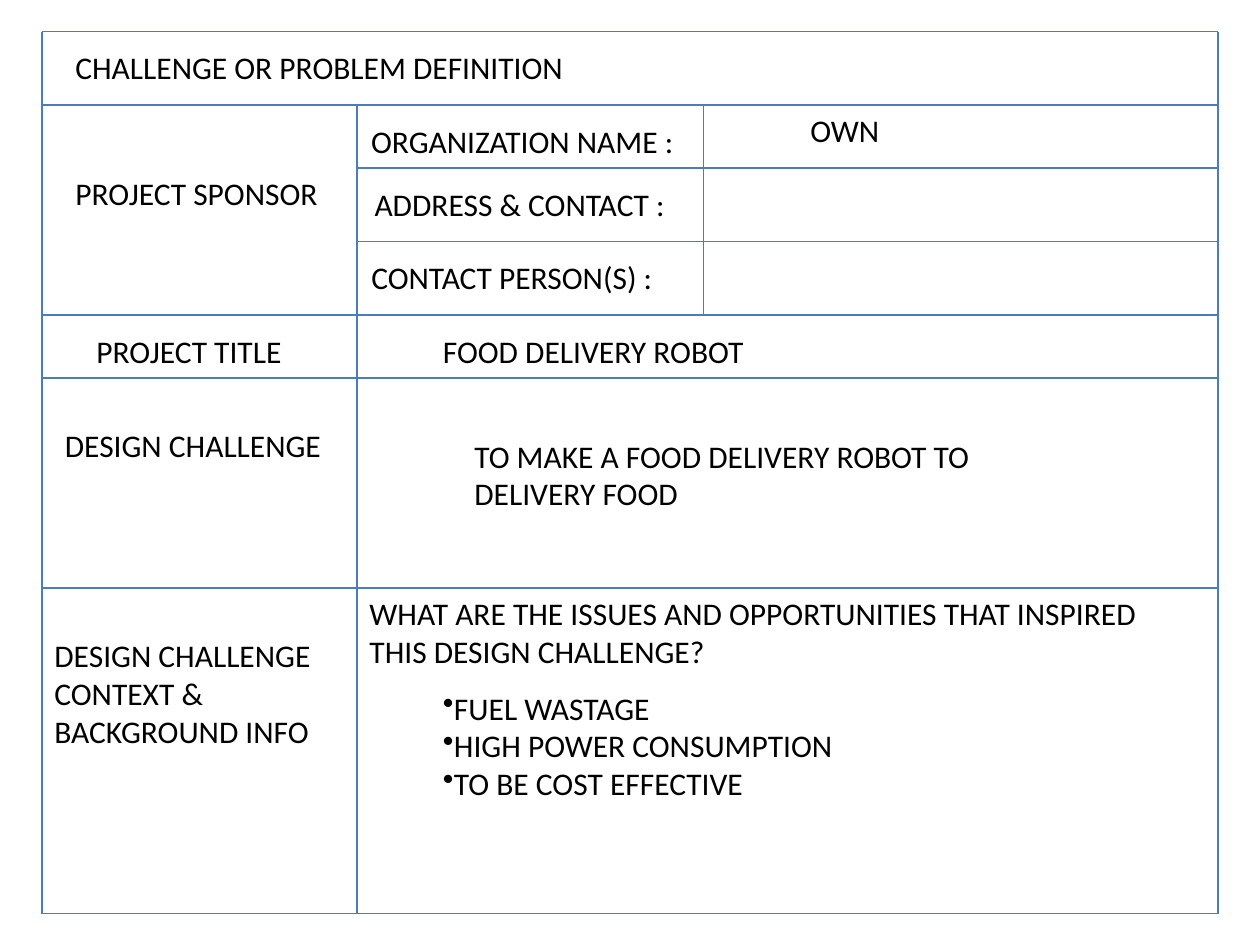
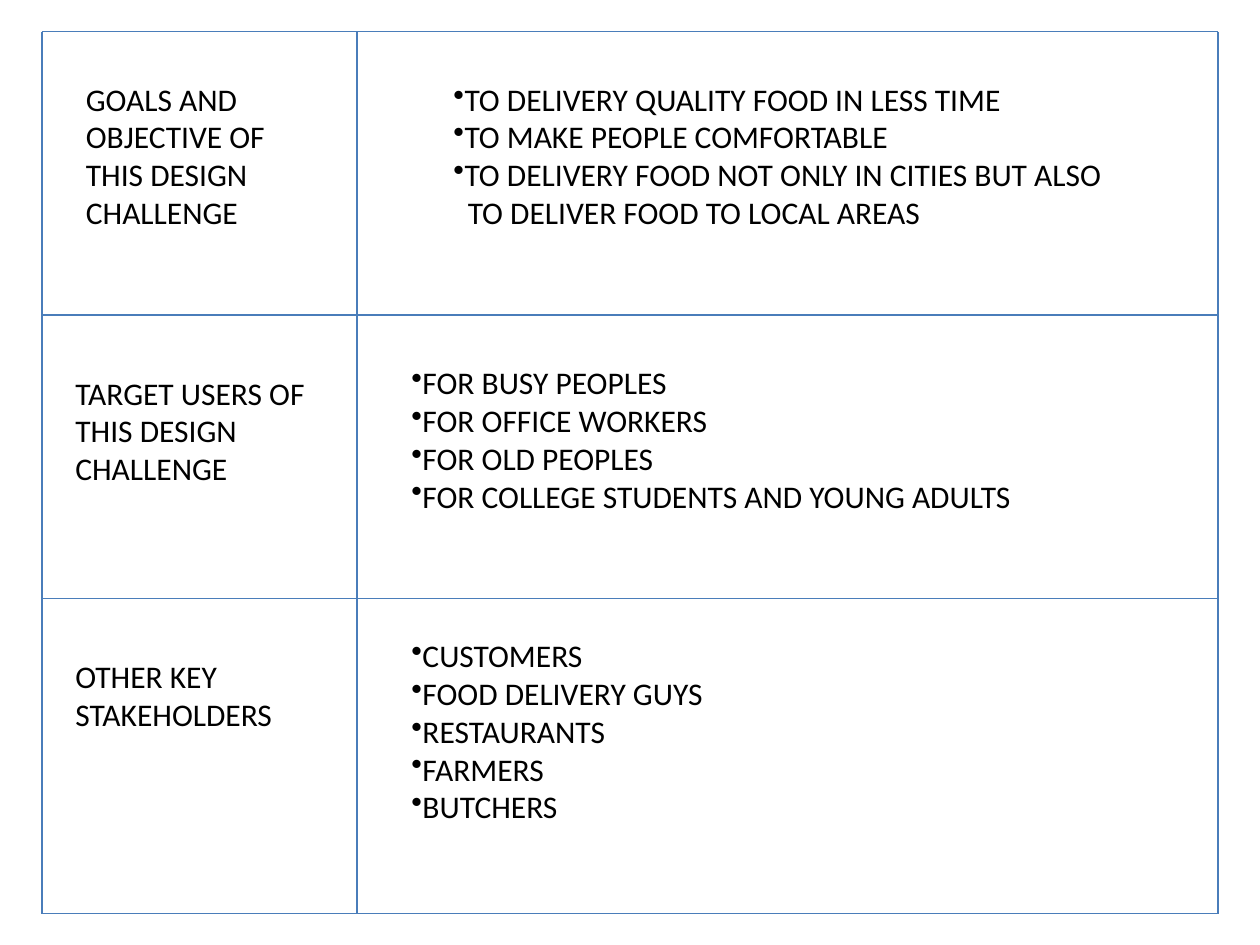
from dataclasses import dataclass

import pptx
import pptx.dml.color
import pptx.enum.shapes
import pptx.enum.text
import pptx.oxml
import pptx.oxml.ns
import pptx.util
from lxml import etree

EMU_PER_PX = 9525


@dataclass(frozen=True)
class Theme:
    font: str = "Calibri"
    size: int = 18
    text: str = "000000"
    rule: str = "4A7DBA"
    rule_width: float = 0.75
    # Lengths below are in px
    line_height: int = 29
    frame_padding: int = 10
    bullet_hang: int = 12
    continuation_indent: int = 11


@dataclass(frozen=True)
class Rule:
    x1: int
    y1: int
    x2: int
    y2: int


@dataclass(frozen=True)
class Entry:
    left: int
    top: int
    width: int
    paragraphs: tuple[str, ...]
    bulleted: bool = False
    centred: bool = False
    continuation: str = ""
    lines: int = 0  # room in lines, when it differs from the paragraph count


THEME = Theme()

# Form frame and its column edges
LEFT, TOP, RIGHT, BOTTOM = 32, 24, 928, 696
ANSWERS, SPONSOR_VALUES = 272, 536


def px(length: int) -> int:
    return pptx.util.Emu(length * EMU_PER_PX)


def across(y: int, start: int = LEFT) -> Rule:
    return Rule(start, y, RIGHT, y)


def down(x: int, start: int = TOP, end: int = BOTTOM) -> Rule:
    return Rule(x, start, x, end)


FRAME = (across(TOP), down(LEFT), down(RIGHT), across(BOTTOM))

# Slide 1: challenge or problem definition
DEFINITION_RULES = (
    *(across(y) for y in (80, 240, 288, 448)),
    *(across(y, ANSWERS) for y in (128, 184)),
    down(ANSWERS, 80),
    down(SPONSOR_VALUES, 80, 240),
)
DEFINITION_ENTRIES = (
    Entry(48, 32, 488, ("CHALLENGE OR PROBLEM DEFINITION",)),
    Entry(48, 128, 205, ("PROJECT SPONSOR",)),
    Entry(272, 88, 252, ("ORGANIZATION NAME :",), centred=True),
    Entry(608, 80, 74, ("OWN",)),
    Entry(256, 136, 280, ("ADDRESS & CONTACT :",), centred=True),
    Entry(272, 192, 236, ("CONTACT PERSON(S) :",), centred=True),
    Entry(64, 248, 192, ("PROJECT TITLE",)),
    Entry(328, 248, 251, ("FOOD DELIVERY ROBOT",)),
    Entry(40, 320, 232, ("DESIGN CHALLENGE",)),
    Entry(352, 328, 406, ("TO MAKE A FOOD DELIVERY ROBOT TO", "DELIVERY FOOD")),
    Entry(32, 480, 240, ("DESIGN CHALLENGE", "CONTEXT & BACKGROUND INFO"), lines=3),
    Entry(272, 448, 609, ("WHAT ARE THE ISSUES AND OPPORTUNITIES THAT INSPIRED",
                          "THIS DESIGN CHALLENGE?")),
    Entry(328, 520, 319, ("FUEL WASTAGE", "HIGH POWER CONSUMPTION",
                          "TO BE COST EFFECTIVE"), bulleted=True),
)

# Slide 2: goals, users and stakeholders
AUDIENCE_RULES = (across(240), across(456), down(ANSWERS))
AUDIENCE_ENTRIES = (
    Entry(56, 56, 184, ("GOALS AND OBJECTIVE OF THIS DESIGN CHALLENGE",), lines=4),
    Entry(336, 56, 523, ("TO DELIVERY QUALITY FOOD IN LESS TIME",
                         "TO MAKE PEOPLE COMFORTABLE",
                         "TO DELIVERY FOOD NOT ONLY IN CITIES BUT ALSO"),
          bulleted=True, continuation="TO DELIVER FOOD TO LOCAL AREAS", lines=6),
    Entry(48, 280, 232, ("TARGET USERS OF", "THIS DESIGN CHALLENGE"), lines=3),
    Entry(304, 272, 480, ("FOR BUSY PEOPLES", "FOR OFFICE WORKERS", "FOR OLD PEOPLES",
                          "FOR COLLEGE STUDENTS AND YOUNG ADULTS"), bulleted=True),
    Entry(48, 496, 480, ("OTHER KEY", "STAKEHOLDERS")),
    Entry(304, 480, 480, ("CUSTOMERS", "FOOD DELIVERY GUYS", "RESTAURANTS",
                          "FARMERS", "BUTCHERS"), bulleted=True),
)


def draw_rule(slide, rule: Rule) -> None:
    line = slide.shapes.add_connector(
        pptx.enum.shapes.MSO_CONNECTOR.STRAIGHT,
        px(rule.x1), px(rule.y1), px(rule.x2), px(rule.y2))
    line.line.color.rgb = pptx.dml.color.RGBColor.from_string(THEME.rule)
    line.line.width = pptx.util.Pt(THEME.rule_width)
    etree.SubElement(line._element.spPr, pptx.oxml.ns.qn("a:effectLst"))


def set_indent(paragraph, margin: int, first_line: int):
    properties = paragraph._p.get_or_add_pPr()
    properties.set("marL", str(px(margin)))
    properties.set("indent", str(px(first_line)))
    return properties


def add_bullet(paragraph) -> None:
    properties = set_indent(paragraph, 0, -THEME.bullet_hang)
    bullet = etree.Element(pptx.oxml.ns.qn("a:buChar"), char="•")
    properties.insert_element_before(bullet, "a:tabLst", "a:defRPr", "a:extLst")


def draw_entry(slide, entry: Entry) -> None:
    texts = entry.paragraphs + ((entry.continuation,) if entry.continuation else ())
    height = THEME.frame_padding + THEME.line_height * (entry.lines or len(texts))
    frame = slide.shapes.add_textbox(
        px(entry.left), px(entry.top), px(entry.width), px(height)).text_frame
    frame.word_wrap = True
    frame.text = "\n".join(texts)
    for index, paragraph in enumerate(frame.paragraphs):
        paragraph.font.name = THEME.font
        paragraph.font.size = pptx.util.Pt(THEME.size)
        paragraph.font.color.rgb = pptx.dml.color.RGBColor.from_string(THEME.text)
        if entry.centred:
            paragraph.alignment = pptx.enum.text.PP_ALIGN.CENTER
        if index >= len(entry.paragraphs):
            set_indent(paragraph, THEME.continuation_indent, 0)
        elif entry.bulleted:
            add_bullet(paragraph)


def draw_form(deck, rules: tuple[Rule, ...], entries: tuple[Entry, ...]) -> None:
    slide = deck.slides.add_slide(deck.slide_layouts[6])
    for rule in FRAME + rules:
        draw_rule(slide, rule)
    for entry in entries:
        draw_entry(slide, entry)


def main() -> None:
    deck = pptx.Presentation()
    deck.slide_width, deck.slide_height = px(960), px(720)
    draw_form(deck, DEFINITION_RULES, DEFINITION_ENTRIES)
    draw_form(deck, AUDIENCE_RULES, AUDIENCE_ENTRIES)
    deck.save("out.pptx")


if __name__ == "__main__":
    main()
